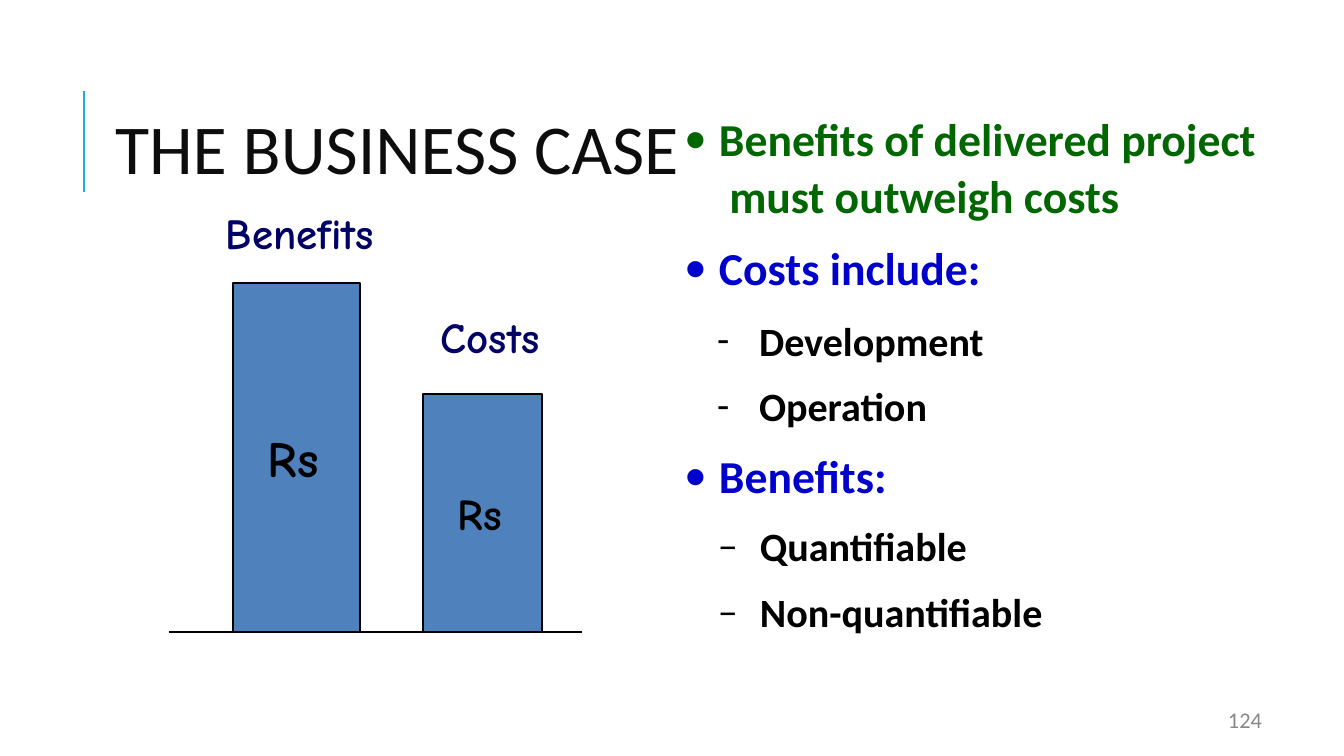
from dataclasses import dataclass
from typing import Any

from lxml.etree import SubElement
from pptx import Presentation
from pptx.dml.color import RGBColor
from pptx.enum.shapes import MSO_CONNECTOR, MSO_SHAPE
from pptx.enum.text import MSO_ANCHOR, PP_ALIGN
from pptx.oxml.ns import qn
from pptx.util import Emu, Pt

BLACK = RGBColor(0x00, 0x00, 0x00)
INK = RGBColor(0x0D, 0x0D, 0x0D)
GREY = RGBColor(0x88, 0x88, 0x88)
CYAN = RGBColor(0x1C, 0xAD, 0xE4)
STEEL = RGBColor(0x4F, 0x81, 0xBC)
NAVY = RGBColor(0x00, 0x00, 0x66)
BLUE = RGBColor(0x00, 0x00, 0xCC)
GREEN = RGBColor(0x00, 0x66, 0x00)
SANS, COMIC = "Calibri", "Comic Neue"
SLIDE_WIDTH, SLIDE_HEIGHT = 1344, 756
EMU_PER_PX = 9144000 / SLIDE_WIDTH
GROUND = 632


@dataclass(frozen=True)
class Line:
    text: str
    size: float
    color: RGBColor
    font: str = SANS
    bold: bool = True
    before: float = 0
    spacing: float | None = None
    bullet: str = ""
    margin: int = 0
    hanging: int = 0
    level: int = 0


@dataclass(frozen=True)
class Block:
    left: int
    top: int
    width: int
    height: int
    inset: int
    lines: tuple[Line, ...]


@dataclass(frozen=True)
class Bar:
    left: int
    top: int
    width: int
    size: float


def head(text: str, color: RGBColor, **options: Any) -> Line:
    return Line(text, 24.5, color, bullet="•", margin=36, hanging=35, **options)


def item(text: str, bullet: str, margin: int, **options: Any) -> Line:
    return Line(text, 21.5, BLACK, bullet=bullet, margin=margin, hanging=42, **options)


BLOCKS = (
    Block(683, 107, 577, 191, 1, (
        head("Benefits of delivered project\v must outweigh costs", GREEN, spacing=30.8),
        head("Costs include:", BLUE, before=9.1),
    )),
    Block(715, 296, 273, 136, 20, (
        item("Development", "-", 44),
        item("Operation", "-", 44, before=9.5),
    )),
    Block(683, 425, 364, 212, 23, (
        head("Benefits:", BLUE),
        item("Quantifiable", "–", 77, before=10.2, level=1),
        item("Non-quantifiable", "–", 77, before=9.4, level=1),
    )),
    Block(224, 204, 177, 55, 3, (Line("Benefits", 23, NAVY, COMIC, margin=2),)),
    Block(439, 308, 116, 55, 3, (Line("Costs", 23, NAVY, COMIC, margin=2),)),
    Block(1223, 710, 46, 26, 0, (
        Line("124", 12, GREY, bold=False, spacing=12.4, margin=5),
    )),
)
BARS = (Bar(233, 283, 127, 27), Bar(423, 394, 119, 23.5))


def px(length: int) -> Emu:
    return Emu(round(length * EMU_PER_PX))


def assign(target: Any, values: dict[str, Any]) -> None:
    for name, value in values.items():
        setattr(target, name, value)


def set_frame(frame: Any, anchor: MSO_ANCHOR, inset: int = 0) -> None:
    assign(frame, {
        "word_wrap": True, "vertical_anchor": anchor, "margin_left": 0,
        "margin_right": 0, "margin_top": px(inset), "margin_bottom": 0,
    })


def write_line(para: Any, line: Line) -> None:
    properties = para._p.get_or_add_pPr()
    properties.set("marL", str(px(line.margin)))
    properties.set("indent", str(px(-line.hanging)))
    if line.bullet:
        SubElement(properties, qn("a:buFont")).set("typeface", SANS)
        SubElement(properties, qn("a:buChar")).set("char", line.bullet)
    assign(para, {"alignment": PP_ALIGN.LEFT, "level": line.level,
                  "space_before": Pt(line.before)})
    if line.spacing:
        para.line_spacing = Pt(line.spacing)
    para.text = line.text
    for span in para.runs:
        assign(span.font, {"name": line.font, "size": Pt(line.size), "bold": line.bold})
        span.font.color.rgb = line.color


def add_block(page: Any, block: Block) -> None:
    box = page.shapes.add_textbox(
        px(block.left), px(block.top), px(block.width), px(block.height))
    frame = box.text_frame
    set_frame(frame, MSO_ANCHOR.TOP, block.inset)
    for index, line in enumerate(block.lines):
        write_line(frame.add_paragraph() if index else frame.paragraphs[0], line)


def add_bar(page: Any, bar: Bar) -> None:
    box = page.shapes.add_shape(
        MSO_SHAPE.RECTANGLE, px(bar.left), px(bar.top), px(bar.width), px(GROUND - bar.top))
    box.shadow.inherit = False
    box.fill.solid()
    box.fill.fore_color.rgb = STEEL
    box.line.color.rgb = BLACK
    box.line.width = Pt(0.72)
    set_frame(box.text_frame, MSO_ANCHOR.MIDDLE)
    write_line(box.text_frame.paragraphs[0], Line("Rs", bar.size, BLACK, COMIC, margin=35))


def add_rule(page: Any, start: tuple[int, int], end: tuple[int, int],
             color: RGBColor, weight: float) -> None:
    rule = page.shapes.add_connector(
        MSO_CONNECTOR.STRAIGHT, *(px(value) for value in start + end))
    rule.line.color.rgb = color
    rule.line.width = Pt(weight)
    SubElement(rule._element.spPr, qn("a:effectLst"))


def set_title(page: Any) -> None:
    title = page.shapes.title
    assign(title, {"left": px(113), "top": px(64), "width": px(1071), "height": px(165)})
    set_frame(title.text_frame, MSO_ANCHOR.MIDDLE, 1)
    write_line(title.text_frame.paragraphs[0],
               Line("THE BUSINESS CASE", 37.5, INK, bold=False, margin=2))


def main() -> None:
    """Build the business case slide and save it."""
    deck = Presentation()
    assign(deck, {"slide_width": px(SLIDE_WIDTH), "slide_height": px(SLIDE_HEIGHT)})
    page = deck.slides.add_slide(deck.slide_layouts[5])
    add_rule(page, (84, 192), (84, 91), CYAN, 1.5)
    set_title(page)
    for bar in BARS:
        add_bar(page, bar)
    add_rule(page, (169, GROUND), (582, GROUND), BLACK, 0.72)
    for block in BLOCKS:
        add_block(page, block)
    deck.save("out.pptx")


if __name__ == "__main__":
    main()
